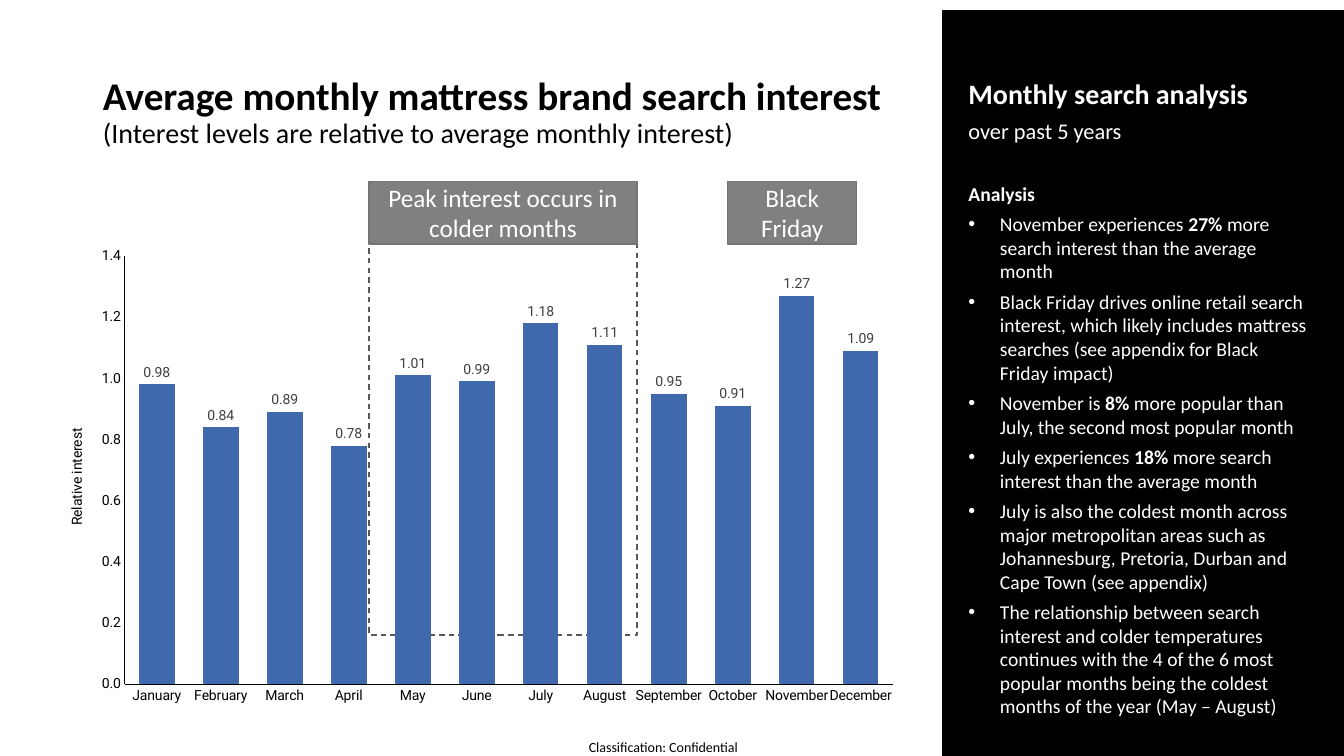
from lxml.etree import SubElement
from pptx import Presentation
from pptx.chart.data import CategoryChartData
from pptx.dml.color import RGBColor
from pptx.enum.chart import XL_CHART_TYPE, XL_LABEL_POSITION, XL_TICK_MARK
from pptx.enum.dml import MSO_LINE
from pptx.enum.shapes import MSO_SHAPE
from pptx.enum.text import MSO_ANCHOR, MSO_AUTO_SIZE, PP_ALIGN
from pptx.oxml.ns import qn
from pptx.util import Pt

# Content
TITLE = "Average monthly mattress brand search interest"
SUBTITLE = "(Interest levels are relative to average monthly interest)"
FOOTER = "Classification: Confidential"
PEAK = "Peak interest occurs in colder months"
BLACK_FRIDAY = "Black Friday"
AXIS_TITLE = "Relative interest"
INTEREST = {
    "January": 0.98, "February": 0.84, "March": 0.89, "April": 0.78,
    "May": 1.01, "June": 0.99, "July": 1.18, "August": 1.11,
    "September": 0.95, "October": 0.91, "November": 1.27, "December": 1.09,
}
# Headings: text, size name, bold, space before
HEADINGS = [
    ("Monthly search analysis", "panel_title", True, 0),
    ("over past 5 years", "panel_subtitle", False, 5),
    ("Analysis", "panel", True, 27),
]
# Each finding alternates plain and bold pieces
FINDINGS = [
    ("November experiences ", "27% ", "more search interest than the average month"),
    ("Black Friday drives online retail search interest, which likely includes "
     "mattress searches (see appendix for Black Friday impact)",),
    ("November is ", "8% ", "more popular than July, the second most popular month"),
    ("July experiences ", "18% ", "more search interest than the average month"),
    ("July is also the coldest month across major metropolitan areas such as "
     "Johannesburg, Pretoria, Durban and Cape Town (see appendix)",),
    ("The relationship between search interest and colder temperatures continues "
     "with the 4 of the 6 most popular months being the coldest months of the "
     "year (May – August)",),
]

THEME = {
    "font": "Calibri", "chart_font": "Roboto",
    "black": "000000", "white": "FFFFFF", "bar": "3F68AD", "value": "404040",
    "axis": "000005", "callout": "808080", "callout_line": "747474", "dash": "595959",
    "size": {"title": 28, "subtitle": 20, "panel_title": 20, "panel_subtitle": 16,
             "panel": 14, "callout": 18, "small": 10},
}

# Places in points: left, top, width, height
SLIDE_W, SLIDE_H = 960, 540
TITLE_BOX = (66.24, 28.8, 602.64, 104.4)
SIDEBAR = (673.5, 7.5, 286.5, 532.5)
ANALYSIS_BOX = (684.72, 51.12, 259.2, 486.72)
CHART_BOX = (30.24, 169.92, 619.92, 339.84)
FOOTER_BOX = (419, 527.8, 109.5, 12.2)
CALLOUT_TOP, CALLOUT_H = 129.6, 44.64
PEAK_LEFT, PEAK_W = 263.5, 191.5
FRIDAY_LEFT, FRIDAY_W = 519.8, 92.2
DASH_BOX = (PEAK_LEFT, 162, PEAK_W, 291.6)
# Shares of the chart's own box
PLOT_LAYOUT = {"layoutTarget": "inner", "xMode": "edge", "yMode": "edge",
               "x": 0.095, "y": 0.038, "w": 0.885, "h": 0.9}
AXIS_TITLE_LAYOUT = {"xMode": "edge", "yMode": "edge", "x": 0.026, "y": 0.395}


def color(name):
    return RGBColor.from_string(THEME[name])


def style(font, size, tint="black", bold=False, face="font"):
    formats = {"name": THEME[face], "size": Pt(THEME["size"][size]), "bold": bold}
    for key, value in formats.items():
        setattr(font, key, value)
    font.color.rgb = color(tint)


def add_run(paragraph, text, *args, **kwargs):
    run = paragraph.add_run()
    run.text = text
    style(run.font, *args, **kwargs)


def add_box(slide, place, fill=None, line=None):
    box = slide.shapes.add_shape(MSO_SHAPE.RECTANGLE, *map(Pt, place))
    box.shadow.inherit = False
    if fill:
        box.fill.solid()
        box.fill.fore_color.rgb = color(fill)
    else:
        box.fill.background()
    if line:
        box.line.color.rgb = color(line)
        box.line.width = Pt(1)
    else:
        box.line.fill.background()
    return box


def add_callout(slide, text, left, width):
    callout = add_box(slide, (left, CALLOUT_TOP, width, CALLOUT_H), "callout", "callout_line")
    paragraph = callout.text_frame.paragraphs[0]
    paragraph.alignment = PP_ALIGN.CENTER
    add_run(paragraph, text, "callout", "white")


def add_title(slide):
    title = slide.shapes.title
    for key, value in zip(("left", "top", "width", "height"), TITLE_BOX):
        setattr(title, key, Pt(value))
    frame = title.text_frame
    frame.auto_size = MSO_AUTO_SIZE.NONE
    frame.vertical_anchor = MSO_ANCHOR.MIDDLE
    paragraph = frame.paragraphs[0]
    paragraph.alignment = PP_ALIGN.LEFT
    paragraph.line_spacing = 0.9
    add_run(paragraph, TITLE, "title", bold=True)
    paragraph.add_line_break()
    add_run(paragraph, SUBTITLE, "subtitle")


def add_bullet(paragraph):
    properties = paragraph._p.get_or_add_pPr()
    properties.set("marL", str(Pt(22.5)))
    properties.set("indent", str(-Pt(22.5)))
    SubElement(properties, qn("a:buFont"), typeface="Arial")
    SubElement(properties, qn("a:buChar"), char="•")


def add_analysis(slide):
    frame = add_box(slide, ANALYSIS_BOX, "black").text_frame
    frame.word_wrap = True
    frame.vertical_anchor = MSO_ANCHOR.TOP
    for index, (text, size, bold, before) in enumerate(HEADINGS):
        paragraph = frame.add_paragraph() if index else frame.paragraphs[0]
        paragraph.alignment = PP_ALIGN.LEFT
        if before:
            paragraph.space_before = Pt(before)
        add_run(paragraph, text, size, "white", bold)
    for pieces in FINDINGS:
        paragraph = frame.add_paragraph()
        add_bullet(paragraph)
        paragraph.alignment = PP_ALIGN.LEFT
        paragraph.space_before = Pt(5)
        for index, piece in enumerate(pieces):
            add_run(paragraph, piece, "panel", "white", index % 2 == 1)


def set_layout(parent, position, values):
    layout = parent.find(qn("c:layout"))
    if layout is None:
        layout = SubElement(parent, qn("c:layout"))
        parent.insert(position, layout)
    manual = SubElement(layout, qn("c:manualLayout"))
    for key, value in values.items():
        SubElement(manual, qn("c:" + key), val=str(value))


def add_interest_chart(slide):
    data = CategoryChartData(number_format="0.00")
    data.categories = list(INTEREST)
    data.add_series("Series 1", list(INTEREST.values()))
    chart = slide.shapes.add_chart(
        XL_CHART_TYPE.COLUMN_CLUSTERED, *map(Pt, CHART_BOX), data).chart
    chart.has_legend = chart.has_title = False
    style(chart.font, "small")

    # Bars and their values
    plot = chart.plots[0]
    for key, value in {"gap_width": 80, "overlap": 1, "vary_by_categories": False,
                       "has_data_labels": True}.items():
        setattr(plot, key, value)
    bars = plot.series[0].format.fill
    bars.solid()
    bars.fore_color.rgb = color("bar")
    labels = plot.data_labels
    for key, value in {"show_value": True, "number_format": "0.00",
                       "number_format_is_linked": False,
                       "position": XL_LABEL_POSITION.OUTSIDE_END}.items():
        setattr(labels, key, value)
    style(labels.font, "small", "value", face="chart_font")

    # Axes
    interest_axis = chart.value_axis
    for axis in (chart.category_axis, interest_axis):
        axis.has_major_gridlines = False
        axis.major_tick_mark = axis.minor_tick_mark = XL_TICK_MARK.NONE
        axis.format.line.color.rgb = color("axis")
        axis.format.line.width = Pt(0.75)
        style(axis.tick_labels.font, "small", face="chart_font")
    for key, value in {"minimum_scale": 0, "maximum_scale": 1.4, "major_unit": 0.2}.items():
        setattr(interest_axis, key, value)
    interest_axis.tick_labels.number_format = "0.0"
    interest_axis.tick_labels.number_format_is_linked = False
    axis_title = interest_axis.axis_title
    add_run(axis_title.text_frame.paragraphs[0], AXIS_TITLE, "small", face="chart_font")

    # Plot and axis title places
    set_layout(axis_title._element, 1, AXIS_TITLE_LAYOUT)
    set_layout(chart._chartSpace.chart.plotArea, 0, PLOT_LAYOUT)


def add_footer(slide):
    frame = slide.shapes.add_textbox(*map(Pt, FOOTER_BOX)).text_frame
    for side in ("left", "top", "right", "bottom"):
        setattr(frame, "margin_" + side, 0)
    paragraph = frame.paragraphs[0]
    paragraph.alignment = PP_ALIGN.CENTER
    add_run(paragraph, FOOTER, "small")


def main():
    deck = Presentation()
    deck.slide_width, deck.slide_height = Pt(SLIDE_W), Pt(SLIDE_H)
    slide = deck.slides.add_slide(deck.slide_layouts[5])
    add_title(slide)
    add_footer(slide)
    add_box(slide, DASH_BOX, line="dash").line.dash_style = MSO_LINE.DASH
    add_box(slide, SIDEBAR, "black", "black")
    add_analysis(slide)
    add_callout(slide, PEAK, PEAK_LEFT, PEAK_W)
    add_callout(slide, BLACK_FRIDAY, FRIDAY_LEFT, FRIDAY_W)
    add_interest_chart(slide)
    deck.save("out.pptx")


if __name__ == "__main__":
    main()
